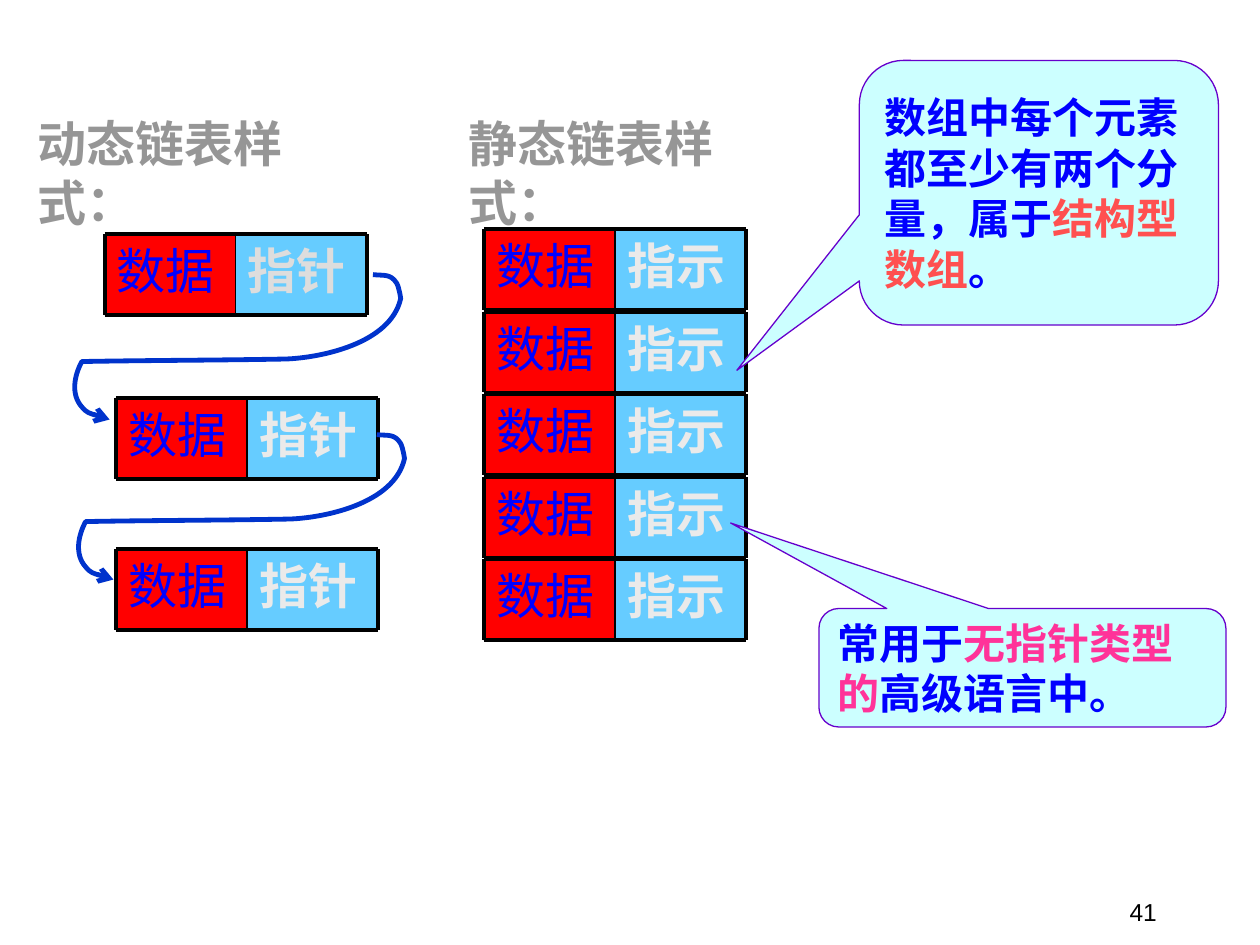
from pptx import Presentation
from pptx.dml.color import RGBColor
from pptx.enum.shapes import MSO_CONNECTOR, MSO_SHAPE
from pptx.enum.text import MSO_ANCHOR, PP_ALIGN
from pptx.oxml.ns import qn
from pptx.util import Inches, Pt
from lxml.etree import SubElement

THEME = {
    "title": "969696", "data": "FF0000", "link": "66CCFF", "blue": "0000FF",
    "pale": "EAEAEA", "dim": "DDDDDD", "black": "000000", "arrow": "0033CC",
    "bubble": "CCFFFF", "bubble_line": "6600CC", "coral": "FF5050", "pink": "FF3399",
    "large": 28, "medium": 24, "small": 14,
    "latin": "Arial", "serif": "Times New Roman", "cjk": "Noto Sans CJK SC",
}


def color(name):
    """Return the theme colour of that name."""
    return RGBColor.from_string(THEME[name])


def write(box, spans, size="large", font="latin", bold=False, before=0,
          align=PP_ALIGN.LEFT, anchor=MSO_ANCHOR.TOP):
    """Write one paragraph of (text, colour) spans into a box."""
    frame = box.text_frame
    frame.word_wrap = True
    frame.vertical_anchor = anchor
    para = frame.paragraphs[0]
    para.alignment = align
    para.space_before = Pt(before)
    para._p.get_or_add_pPr().set("hangingPunct", "0")
    for text, ink in spans:
        span = para.add_run()
        span.text = text
        span.font.size = Pt(THEME[size])
        span.font.name = THEME[font]
        span.font.bold = bold
        span.font.color.rgb = color(ink)


deck = Presentation()
deck.slide_width, deck.slide_height = Inches(10), Inches(7.5)
page = deck.slides.add_slide(deck.slide_layouts[6])
shapes = page.shapes

# Headings
for left, text in ((0.2, "动态链表样式："), (3.62, "静态链表样式：")):
    box = shapes.add_textbox(Inches(left), Inches(0.85), Inches(2.83), Inches(0.57))
    write(box, [(text, "title")], font="serif", bold=True, before=17.5)

# Records: a data cell and a link cell inside a ruled frame
CELL_WIDTH, CELL_HEIGHT, ROW_PITCH = 1.04, 0.64, 0.655
records = [(0.83, 1.86, "指针", "dim"), (0.92, 3.16, "指针", "pale"), (0.92, 4.36, "指针", "pale")]
records += [(3.84, 1.82 + row * ROW_PITCH, "指示", "pale") for row in range(5)]
for left, top, link, ink in records:
    middle, right, bottom = left + CELL_WIDTH, left + 2 * CELL_WIDTH, top + CELL_HEIGHT
    for x, fill, text, text_ink in ((middle, "link", link, ink), (left, "data", "数据", "blue")):
        cell = shapes.add_shape(MSO_SHAPE.RECTANGLE, Inches(x), Inches(top),
                                Inches(CELL_WIDTH), Inches(CELL_HEIGHT))
        cell.shadow.inherit = False
        cell.fill.solid()
        cell.fill.fore_color.rgb = color(fill)
        if fill == "data":
            cell.line.color.rgb = color("pale")
            cell.line.width = Pt(0.74)
        else:
            cell.line.fill.background()
        write(cell, [(text, text_ink)], bold=fill == "link", before=7)
    for x1, y1, x2, y2, width in (
            (left, top, right, top, 2.24), (left, bottom, right, bottom, 2.24),
            (left, top, left, bottom, 2.24), (middle, top, middle, bottom, 0.99),
            (right, top, right, bottom, 2.24)):
        rule = shapes.add_connector(MSO_CONNECTOR.STRAIGHT, Inches(x1), Inches(y1),
                                    Inches(x2), Inches(y2))
        rule.line.color.rgb = color("black")
        rule.line.width = Pt(width)
        SubElement(rule.element.spPr, qn("a:effectLst"))

# Curved pointers: after the start, every three points make one Bezier segment
POINTS = [
    (2.96, 2.18),
    (3.05, 2.19), (3.1, 2.17), (3.15, 2.25), (3.17, 2.29), (3.18, 2.37), (3.18, 2.37),
    (3.1, 2.73), (2.54, 2.84), (2.27, 2.85), (1.73, 2.86), (1.19, 2.86), (0.65, 2.87),
    (0.59, 2.98), (0.56, 3.13), (0.65, 3.23), (0.69, 3.28), (0.75, 3.29), (0.8, 3.31),
    (0.86, 3.33), (0.84, 3.33), (0.87, 3.33),
]
for dx, dy in ((0, 0), (0.03, 1.27)):
    track = [(Inches(x + dx), Inches(y + dy)) for x, y in POINTS]
    builder = shapes.build_freeform(*track[0])
    builder.add_line_segments(track[1:], close=False)
    pointer = builder.convert_to_shape()
    segments = list(pointer.element.iter(qn("a:lnTo")))
    outline = segments[0].getparent()
    for first in range(0, len(segments), 3):
        curve = SubElement(outline, qn("a:cubicBezTo"))
        for segment in segments[first:first + 3]:
            curve.append(segment[0])
            outline.remove(segment)
    pointer.shadow.inherit = False
    pointer.fill.background()
    pointer.line.color.rgb = color("arrow")
    pointer.line.width = Pt(2.75)
    SubElement(pointer.line._get_or_add_ln(), qn("a:tailEnd"), type="arrow")

# Callouts
callouts = [
    ((6.82, 0.48, 2.85, 2.1), (-0.841, 0.671, 0.167),
     [("数组中每个元素都至少有两个分量，属于", "blue"), ("结构型数组", "coral"), ("。", "blue")]),
    ((6.5, 4.83, 3.23, 0.94), (-0.717, -1.222, 0.167),
     [("常用于", "blue"), ("无指针类型的", "pink"), ("高级语言中。", "blue")]),
]
for place, tip, spans in callouts:
    bubble = shapes.add_shape(MSO_SHAPE.ROUNDED_RECTANGULAR_CALLOUT, *map(Inches, place))
    for index, value in enumerate(tip):
        bubble.adjustments[index] = value
    bubble.shadow.inherit = False
    bubble.fill.solid()
    bubble.fill.fore_color.rgb = color("bubble")
    bubble.line.color.rgb = color("bubble_line")
    bubble.line.width = Pt(0.74)
    write(bubble, spans, size="medium", font="cjk", bold=True, anchor=MSO_ANCHOR.MIDDLE)

# Page number
box = shapes.add_textbox(Inches(7.2), Inches(6.9), Inches(2.08), Inches(0.5))
write(box, [("41", "black")], size="small", align=PP_ALIGN.RIGHT, anchor=MSO_ANCHOR.BOTTOM)

deck.save("out.pptx")
